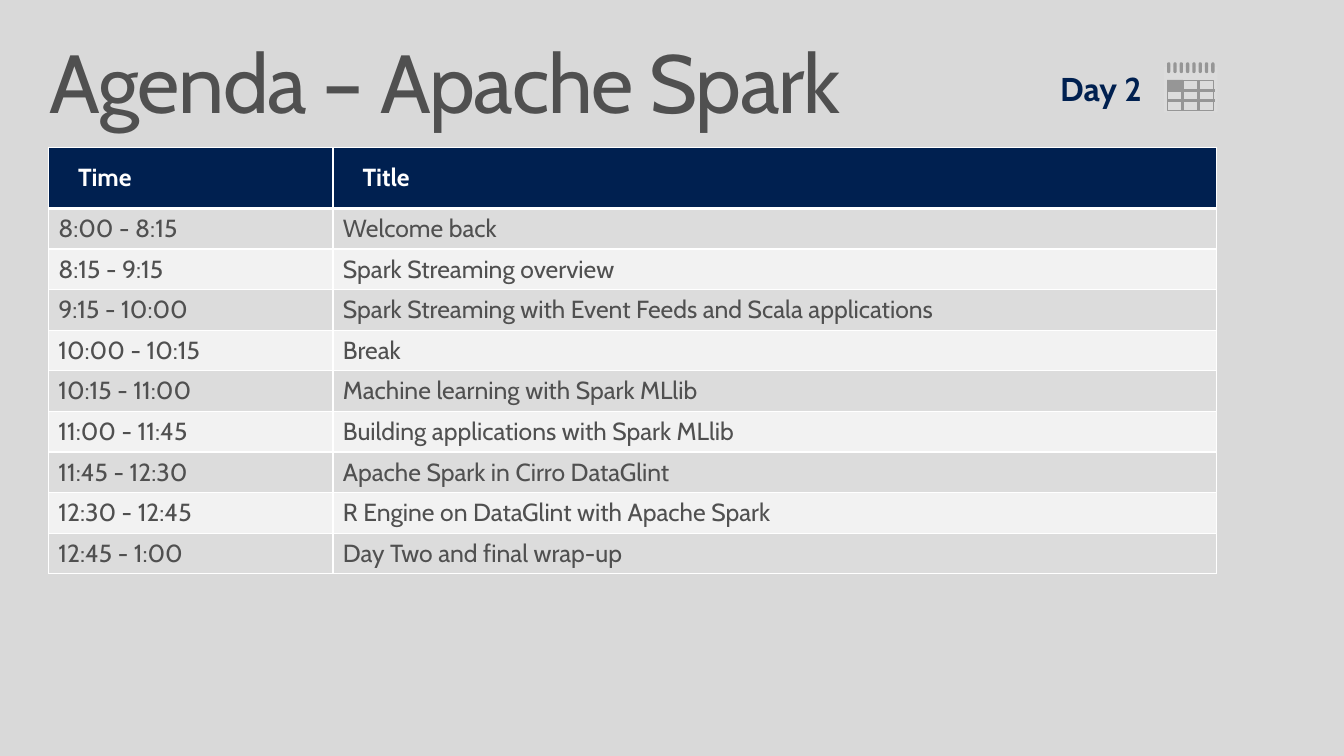
from lxml import etree
from pptx import Presentation
from pptx import util as u
from pptx.dml.color import RGBColor
from pptx.enum import shapes, text
from pptx.oxml.ns import qn

C = {"bg": "D9D9D9", "ink": "505050", "navy": "002050", "white": "FFFFFF",
     "odd": "DCDCDC", "even": "F2F2F2", "icon": "969696"}
FONT = "Cabin"
COLS, ROWS = 136, 76.5      # grid of the slide, one module is a tenth of an inch
MODULE = u.Inches(0.1)

AGENDA = [
    ("8:00 - 8:15", "Welcome back"),
    ("8:15 - 9:15", "Spark Streaming overview"),
    ("9:15 - 10:00", "Spark Streaming with Event Feeds and Scala applications"),
    ("10:00 - 10:15", "Break"),
    ("10:15 - 11:00", "Machine learning with Spark MLlib"),
    ("11:00 - 11:45", "Building applications with Spark MLlib"),
    ("11:45 - 12:30", "Apache Spark in Cirro DataGlint"),
    ("12:30 - 12:45", "R Engine on DataGlint with Apache Spark"),
    ("12:45 - 1:00", "Day Two and final wrap-up"),
]


def grid(*modules):
    """Turn grid columns or rows into slide lengths."""
    return [u.Emu(round(m * MODULE)) for m in modules]


def rgb(name):
    return RGBColor.from_string(C[name])


def add_run(p, words, size, color, bold=False):
    r = p.add_run()
    r.text = words
    r.font.name, r.font.size, r.font.bold = FONT, u.Pt(size), bold
    r.font.color.rgb = rgb(color)
    return r


def add_title(s, words):
    sp = s.shapes.title
    sp.left, sp.top, sp.width, sp.height = grid(0, 3.3, 98.1, 12)
    tf = sp.text_frame
    tf.margin_left, tf.margin_top, tf.margin_right, tf.margin_bottom = grid(5, 1, 1.6, 1)
    tf.word_wrap = True
    tf.auto_size = text.MSO_AUTO_SIZE.NONE
    tf.vertical_anchor = text.MSO_ANCHOR.TOP
    p = tf.paragraphs[0]
    p.alignment, p.line_spacing = text.PP_ALIGN.LEFT, 0.9
    r = add_run(p, words, 60, "ink")
    r.font._element.set("spc", "-100")


def add_day(s, words):
    tf = s.shapes.add_textbox(*grid(106.3, 6.4, 11, 5)).text_frame
    tf.word_wrap = False
    add_run(tf.paragraphs[0], words, 24, "navy", True)


def set_borders(cell, top, bottom):
    tcPr = cell._tc.get_or_add_tcPr()
    for side, points in (("L", 1), ("R", 1), ("T", top), ("B", bottom)):
        ln = etree.SubElement(tcPr, qn(f"a:ln{side}"), w=str(u.Pt(points)))
        fill = etree.SubElement(ln, qn("a:solidFill"))
        etree.SubElement(fill, qn("a:srgbClr"), val=C["white"])


def fill_cell(cell, words, row):
    header = row == 0
    set_borders(cell, 3 if row == 1 else 1, 3 if header else 1)
    cell.fill.solid()
    cell.fill.fore_color.rgb = rgb("navy" if header else "odd" if row % 2 else "even")
    cell.vertical_anchor = text.MSO_ANCHOR.MIDDLE
    p = cell.text_frame.paragraphs[0]
    if header:
        p._p.get_or_add_pPr().set("marL", str(u.Inches(0.2)))
    add_run(p, words, 18, "white" if header else "ink", header)


def add_agenda(s, rows):
    frame = s.shapes.add_table(len(rows), 2, *grid(4.9, 14.9, 118.2, 43.2))
    tbl = frame.table
    for column, width in zip(tbl.columns, grid(28.8, 89.4)):
        column.width = width
    heights = grid(6.2, *[4.11] * (len(rows) - 1))
    for i, (values, height) in enumerate(zip(rows, heights)):
        tbl.rows[i].height = height
        for j, words in enumerate(values):
            fill_cell(tbl.cell(i, j), words, i)


def add_block(grp, kind, box, color=None):
    """A filled block, or an outlined frame when no colour is given."""
    sp = grp.shapes.add_shape(kind, *grid(*box))
    sp.shadow.inherit = False
    if color:
        sp.fill.solid()
        sp.fill.fore_color.rgb = rgb(color)
        sp.line.fill.background()
    else:
        sp.fill.background()
        sp.line.color.rgb = rgb("icon")
        sp.line.width = u.Pt(0.75)
    return sp


def add_rule(grp, x1, y1, x2, y2):
    ln = grp.shapes.add_connector(shapes.MSO_CONNECTOR.STRAIGHT, *grid(x1, y1, x2, y2))
    ln.line.color.rgb = rgb("icon")
    ln.line.width = u.Pt(2.13)
    etree.SubElement(ln._element.spPr, qn("a:effectLst"))


def add_calendar(s):
    kind = shapes.MSO_SHAPE
    grp = s.shapes.add_group_shape()
    left, top, width, height = 118.1, 8.1, 4.8, 3.1
    cell_w, cell_h = width / 3, height / 3
    add_block(grp, kind.RECTANGLE, (117.8, 6.8, 5.4, 4.6), "odd")
    # Binding rings
    rings, ring_w = 8, 0.33
    pitch = (width - ring_w) / (rings - 1)
    for i in range(rings):
        ring = add_block(grp, kind.ROUNDED_RECTANGLE,
                         (left + i * pitch, 6.3, ring_w, 1.1), "icon")
        ring.adjustments[0] = 0.5
    # Page with a three by three grid and the first day marked
    add_block(grp, kind.RECTANGLE, (left + 0.05, top + 0.05, width - 0.1, height - 0.1))
    for i in (1, 2):
        x, y = left + i * cell_w, top + i * cell_h
        add_rule(grp, left, y, left + width, y)
        add_rule(grp, x, top, x, top + height)
    add_block(grp, kind.RECTANGLE, (left, top, cell_w, cell_h), "icon")


def main():
    prs = Presentation()
    prs.slide_width, prs.slide_height = grid(COLS, ROWS)
    s = prs.slides.add_slide(prs.slide_layouts[5])
    s.background.fill.solid()
    s.background.fill.fore_color.rgb = rgb("bg")
    add_title(s, "Agenda – Apache Spark")
    add_agenda(s, [("Time", "Title")] + AGENDA)
    add_calendar(s)
    add_day(s, "Day 2")
    prs.save("out.pptx")


if __name__ == "__main__":
    main()
